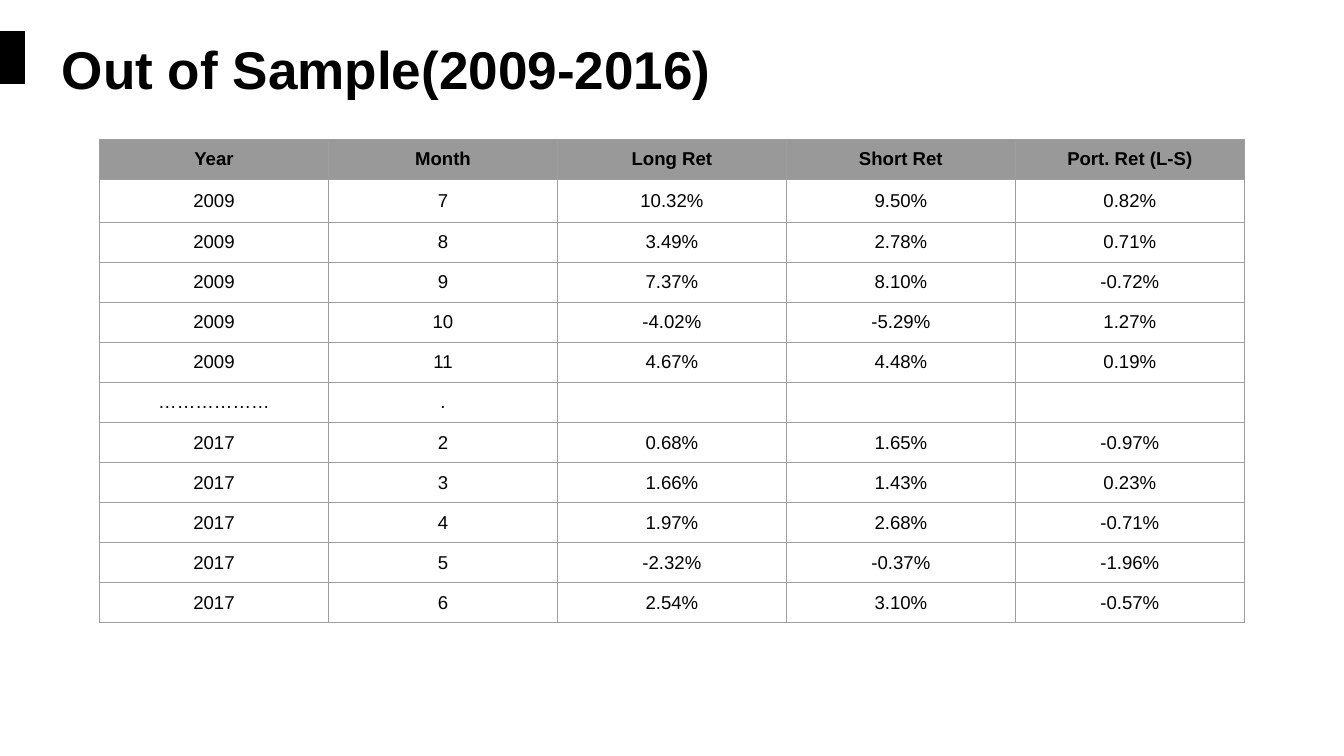
from pptx import Presentation
from pptx.dml.color import RGBColor
from pptx.enum.shapes import MSO_SHAPE as Shape
from pptx.enum.text import MSO_ANCHOR as Anchor, MSO_AUTO_SIZE as AutoSize, PP_ALIGN as Align
from pptx.oxml.ns import qn
from pptx.util import Pt
from lxml.etree import SubElement

# Content
TITLE = "Out of Sample(2009-2016)"
HEADINGS = ("Year", "Month", "Long Ret", "Short Ret", "Port. Ret (L-S)")
RETURNS = [
    ("2009", "7", "10.32%", "9.50%", "0.82%"),
    ("2009", "8", "3.49%", "2.78%", "0.71%"),
    ("2009", "9", "7.37%", "8.10%", "-0.72%"),
    ("2009", "10", "-4.02%", "-5.29%", "1.27%"),
    ("2009", "11", "4.67%", "4.48%", "0.19%"),
    ("………………", ".", "", "", ""),
    ("2017", "2", "0.68%", "1.65%", "-0.97%"),
    ("2017", "3", "1.66%", "1.43%", "0.23%"),
    ("2017", "4", "1.97%", "2.68%", "-0.71%"),
    ("2017", "5", "-2.32%", "-0.37%", "-1.96%"),
    ("2017", "6", "2.54%", "3.10%", "-0.57%"),
]

BLACK = RGBColor(0x00, 0x00, 0x00)
HEADING_GREY = RGBColor(0x99, 0x99, 0x99)
BORDER_GREY = RGBColor(0x9E, 0x9E, 0x9E)
FONT = "Arial"
INSET = Pt(7.2)
COLUMN_WIDTH = 172.5
ROW_HEIGHT, FIRST_MONTH_HEIGHT = 30.1, 32.6


def add_text(paragraph, text, size, bold):
    run = paragraph.add_run()
    run.text = text
    run.font.name = FONT
    run.font.size = Pt(size)
    run.font.bold = bold
    run.font.color.rgb = BLACK


def add_borders(cell):
    properties = cell._tc.get_or_add_tcPr()
    for position, side in enumerate(("lnL", "lnR", "lnT", "lnB")):
        border = properties.makeelement(qn(f"a:{side}"), {"w": str(Pt(0.75))})
        fill = SubElement(border, qn("a:solidFill"))
        SubElement(fill, qn("a:srgbClr"), val=str(BORDER_GREY))
        properties.insert(position, border)


deck = Presentation()
deck.slide_width, deck.slide_height = Pt(1012.5), Pt(569.5)
slide = deck.slides.add_slide(deck.slide_layouts[5])

# Black marker at the left edge
marker = slide.shapes.add_shape(Shape.RECTANGLE, Pt(0), Pt(23.5), Pt(18.5), Pt(39.5))
marker.shadow.inherit = False
marker.fill.solid()
marker.fill.fore_color.rgb = BLACK
marker.line.color.rgb = BLACK
marker.line.width = Pt(1)

# Title
title = slide.shapes.title
title.left, title.top, title.width, title.height = Pt(39.5), Pt(16.5), Pt(540), Pt(49)
heading = title.text_frame
heading.auto_size = AutoSize.NONE
heading.word_wrap = True
heading.vertical_anchor = Anchor.TOP
heading.margin_left = heading.margin_right = heading.margin_bottom = INSET
heading.margin_top = Pt(11)
heading.paragraphs[0].alignment = Align.LEFT
add_text(heading.paragraphs[0], TITLE, 40, True)

# Monthly returns table
rows = [HEADINGS, *RETURNS]
heights = [ROW_HEIGHT, FIRST_MONTH_HEIGHT] + [ROW_HEIGHT] * (len(rows) - 2)
returns = slide.shapes.add_table(
    len(rows), len(HEADINGS), Pt(75), Pt(104.75),
    Pt(COLUMN_WIDTH * len(HEADINGS)), Pt(sum(heights))).table
returns.horz_banding = False
for column in returns.columns:
    column.width = Pt(COLUMN_WIDTH)

for r, (values, height) in enumerate(zip(rows, heights)):
    returns.rows[r].height = Pt(height)
    is_heading = r == 0
    for c, value in enumerate(values):
        cell = returns.cell(r, c)
        if is_heading:
            cell.fill.solid()
            cell.fill.fore_color.rgb = HEADING_GREY
        else:
            cell.fill.background()
        add_borders(cell)
        if value:
            cell.vertical_anchor = Anchor.MIDDLE
            cell.margin_left = cell.margin_right = INSET
            cell.margin_top = cell.margin_bottom = INSET
            paragraph = cell.text_frame.paragraphs[0]
            paragraph.alignment = Align.CENTER
            add_text(paragraph, value, 14, is_heading)

deck.save("out.pptx")
